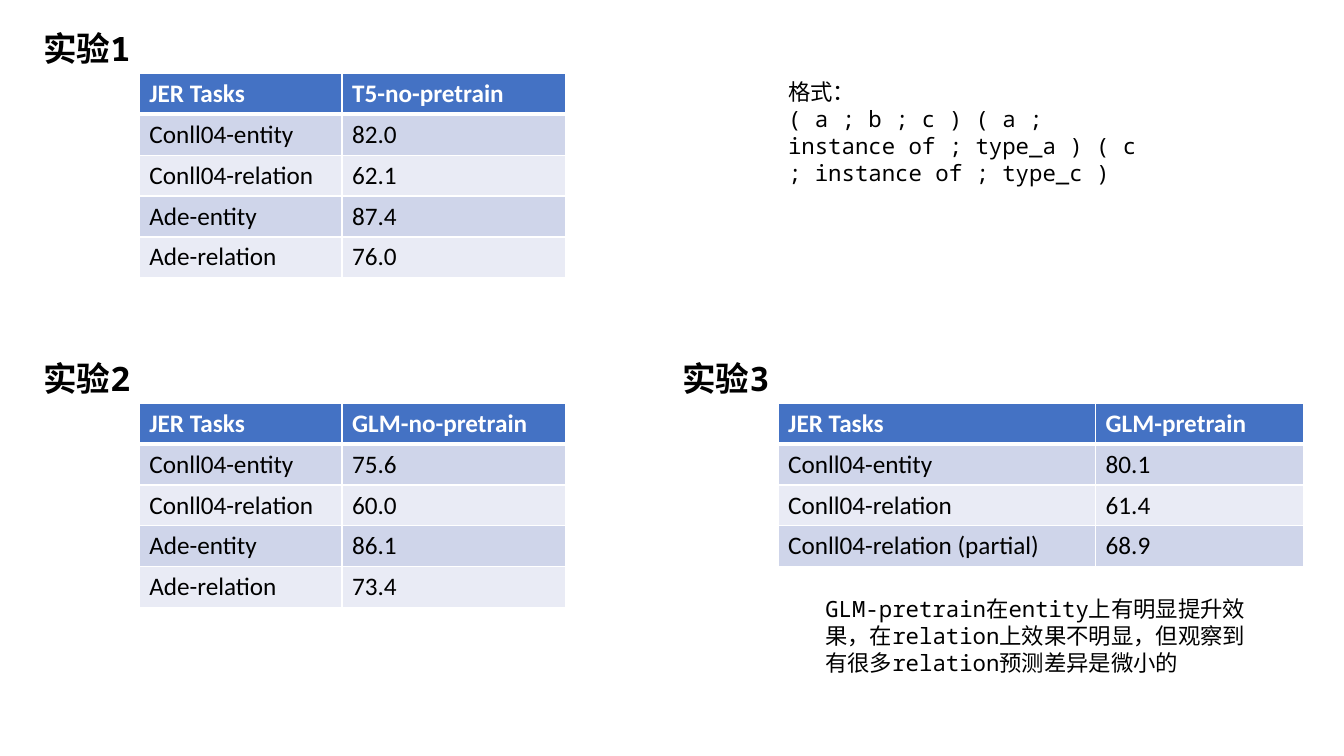
from lxml.etree import SubElement
from pptx import Presentation
from pptx.dml.color import RGBColor
from pptx.enum.text import MSO_AUTO_SIZE
from pptx.oxml.ns import qn
from pptx.util import Cm, Pt

WHITE = RGBColor(0xFF, 0xFF, 0xFF)
BLACK = RGBColor(0x00, 0x00, 0x00)
HEADER_BLUE = RGBColor(0x44, 0x72, 0xC4)
BAND_DARK = RGBColor(0xCF, 0xD5, 0xEA)
BAND_LIGHT = RGBColor(0xE9, 0xEB, 0xF5)

ROW_HEIGHT = 1.03
LEFT, RIGHT = 0.84, 16.94
UPPER, LOWER = 0.58, 8.89

EXPERIMENTS = [
    ("实验1", LEFT, UPPER, (5.11, 5.64), [
        ("JER Tasks", "T5-no-pretrain"),
        ("Conll04-entity", "82.0"),
        ("Conll04-relation", "62.1"),
        ("Ade-entity", "87.4"),
        ("Ade-relation", "76.0"),
    ]),
    ("实验2", LEFT, LOWER, (5.11, 5.64), [
        ("JER Tasks", "GLM-no-pretrain"),
        ("Conll04-entity", "75.6"),
        ("Conll04-relation", "60.0"),
        ("Ade-entity", "86.1"),
        ("Ade-relation", "73.4"),
    ]),
    ("实验3", RIGHT, LOWER, (8.0, 5.23), [
        ("JER Tasks", "GLM-pretrain"),
        ("Conll04-entity", "80.1"),
        ("Conll04-relation", "61.4"),
        ("Conll04-relation (partial)", "68.9"),
    ]),
]

NOTES = [
    ("格式：\n( a ; b ; c ) ( a ; instance of ; type_a ) ( c ; instance of ; type_c )",
     (19.61, 1.85, 9.55, 3.0)),
    ("GLM-pretrain在entity上有明显提升效果，在relation上效果不明显，但观察到有很多relation预测差异是微小的",
     (20.55, 14.88, 11.35, 2.31)),
]


def write_text(frame, text, size=16, font="Noto Sans Mono", color=BLACK, bold=False):
    frame.text = text
    for paragraph in frame.paragraphs:
        for run in paragraph.runs:
            run.font.size = Pt(size)
            run.font.name = font
            run.font.color.rgb = color
            run.font.bold = bold


def add_note(slide, text, box, **text_format):
    note = slide.shapes.add_textbox(*map(Cm, box)).text_frame
    note.word_wrap = True
    note.auto_size = MSO_AUTO_SIZE.SHAPE_TO_FIT_TEXT
    write_text(note, text, **text_format)


def add_borders(cell, top, bottom):
    properties = cell._tc.get_or_add_tcPr()
    for side, width in (("L", 1), ("R", 1), ("T", top), ("B", bottom)):
        line = SubElement(properties, qn(f"a:ln{side}"), w=str(Pt(width)))
        SubElement(SubElement(line, qn("a:solidFill")), qn("a:srgbClr"), val=str(WHITE))


def add_scores(slide, left, top, widths, scores):
    box = (left, top, sum(widths), ROW_HEIGHT * len(scores))
    table = slide.shapes.add_table(len(scores), len(widths), *map(Cm, box)).table
    for column, width in zip(table.columns, widths):
        column.width = Cm(width)
    for index, values in enumerate(scores):
        header = index == 0
        band = HEADER_BLUE if header else (BAND_LIGHT, BAND_DARK)[index % 2]
        table.rows[index].height = Cm(ROW_HEIGHT)
        for cell, value in zip(table.rows[index].cells, values):
            add_borders(cell, top=3 if index == 1 else 1, bottom=3 if header else 1)
            cell.fill.solid()
            cell.fill.fore_color.rgb = band
            write_text(cell.text_frame, value, size=18, font="Calibri",
                       color=WHITE if header else BLACK, bold=header)


def add_experiment(slide, title, left, top, widths, scores):
    add_scores(slide, left + 2.67, top + 1.27, widths, scores)
    add_note(slide, title, (left, top, 5.33, 1.27), size=24, bold=True)


def main():
    presentation = Presentation()
    presentation.slide_width = Cm(33.87)
    presentation.slide_height = Cm(19.05)
    slide = presentation.slides.add_slide(presentation.slide_layouts[6])
    for experiment in EXPERIMENTS:
        add_experiment(slide, *experiment)
    for text, box in NOTES:
        add_note(slide, text, box)
    presentation.save("out.pptx")


if __name__ == "__main__":
    main()
